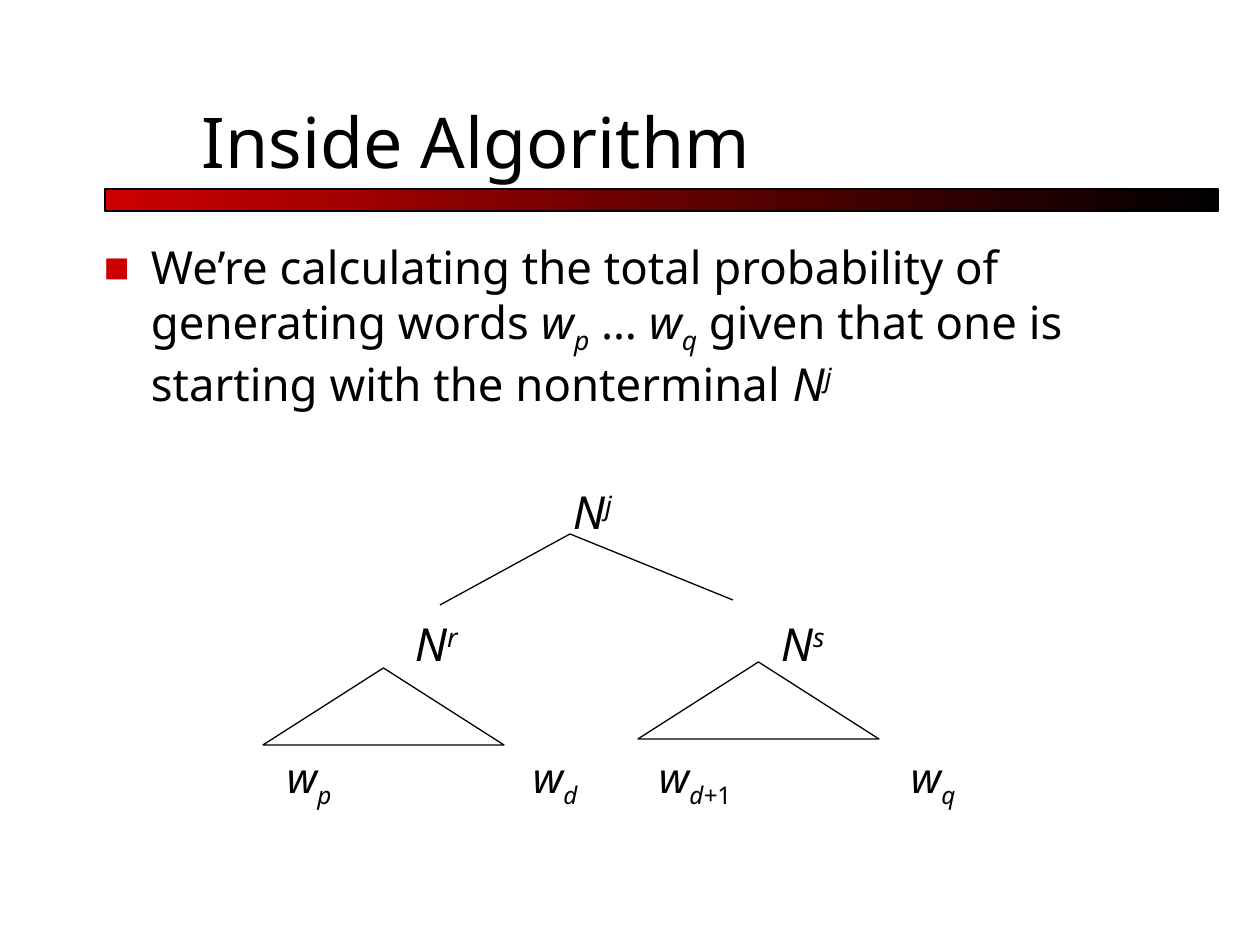
from dataclasses import dataclass

from lxml.etree import SubElement
from pptx import Presentation
from pptx.dml.color import RGBColor
from pptx.enum.shapes import MSO_CONNECTOR, MSO_SHAPE
from pptx.enum.text import MSO_ANCHOR
from pptx.oxml.ns import qn
from pptx.util import Emu, Pt

PX = 914400 / 126


@dataclass(frozen=True)
class Theme:
    font: str = "Noto Sans"
    ink: RGBColor = RGBColor(0, 0, 0)
    accent: RGBColor = RGBColor(0xCC, 0, 0)
    title: int = 40
    body: int = 26
    word: int = 24
    line: float = 0.75
    sub: int = -25000
    sup: int = 30000


THEME = Theme()


def px(*values):
    return [Emu(round(v * PX)) for v in values]


def add_text(slide, box, runs, size=THEME.body, inset=(0, 0), anchor=MSO_ANCHOR.TOP,
             wrap=True):
    """Add one paragraph; each run is (text, italic, baseline)."""
    tf = slide.shapes.add_textbox(*px(*box)).text_frame
    tf.word_wrap = wrap
    tf.vertical_anchor = anchor
    tf.margin_left = tf.margin_right = px(inset[0])[0]
    tf.margin_top = tf.margin_bottom = px(inset[1])[0]
    p = tf.paragraphs[0]
    for text, italic, baseline in runs:
        r = p.add_run()
        r.text = text
        r.font.name = THEME.font
        r.font.size = Pt(size)
        r.font.italic = italic
        r.font.color.rgb = THEME.ink
        if baseline:
            r._r.get_or_add_rPr().set("baseline", str(baseline))
    return p


def plain(text):
    return [(text, False, 0)]


def symbol(base, index, baseline):
    return [(base, True, 0), (index, True, baseline)]


def set_bullet(p, indent):
    pPr = p._p.get_or_add_pPr()
    width = px(indent)[0]
    pPr.set("marL", str(width))
    pPr.set("indent", str(-width))
    color = SubElement(pPr, qn("a:buClr"))
    SubElement(color, qn("a:srgbClr"), val=str(THEME.accent))
    SubElement(pPr, qn("a:buSzPct"), val="60000")
    SubElement(pPr, qn("a:buFont"), typeface=THEME.font)
    SubElement(pPr, qn("a:buChar"), char="■")


def set_line(s):
    s.line.color.rgb = THEME.ink
    s.line.width = Pt(THEME.line)


def add_outline(slide, preset, box):
    s = slide.shapes.add_shape(preset, *px(*box))
    s.shadow.inherit = False
    s.fill.background()
    set_line(s)
    return s


def add_gradient_bar(slide, box):
    s = add_outline(slide, MSO_SHAPE.RECTANGLE, box)
    s.fill.gradient()
    s.fill.gradient_angle = 0
    for i, color in enumerate((THEME.accent, THEME.ink)):
        stop = s.fill.gradient_stops[i]
        stop.position = i
        stop.color.rgb = color


def add_branch(slide, start, end):
    s = slide.shapes.add_connector(MSO_CONNECTOR.STRAIGHT, *px(*start, *end))
    set_line(s)
    SubElement(s._element.spPr, qn("a:effectLst"))


def add_tree(slide):
    # Branches from the root and the two subtrees
    root = (570, 534)
    for end in ((440, 605), (733, 600)):
        add_branch(slide, root, end)
    for left, top in ((263, 668), (638, 662)):
        add_outline(slide, MSO_SHAPE.ISOSCELES_TRIANGLE, (left, top, 241, 77))

    # Nonterminals
    for index, left, top in (("j", 573, 484), ("r", 415, 616), ("s", 781, 616)):
        add_text(slide, (left, top, 60, 62), symbol("N", index, THEME.sup), wrap=False)

    # Words spanned by the subtrees
    split = symbol("w", "d+", THEME.sub) + [("1", False, THEME.sub)]
    words = (
        (symbol("w", "p", THEME.sub), 287),
        (symbol("w", "d", THEME.sub), 533),
        (split, 659),
        (symbol("w", "q", THEME.sub), 911),
    )
    for runs, left in words:
        add_text(slide, (left, 752, 90, 62), runs, size=THEME.word, wrap=False)


def main():
    prs = Presentation()
    prs.slide_width, prs.slide_height = px(1260, 945)
    slide = prs.slides.add_slide(prs.slide_layouts[6])

    # Heading
    add_gradient_bar(slide, (105, 189, 1113, 22))
    add_text(slide, (189, 53, 1071, 136), plain("Inside Algorithm"), size=THEME.title,
             inset=(13, 6), anchor=MSO_ANCHOR.BOTTOM)

    # Statement
    statement = (
        plain("We’re calculating the total probability of generating words ")
        + symbol("w", "p", THEME.sub) + plain(" … ") + symbol("w", "q", THEME.sub)
        + plain(" given that one is starting with the nonterminal ")
        + symbol("N", "j", THEME.sup)
    )
    p = add_text(slide, (91, 233, 1071, 200), statement, inset=(13, 6))
    set_bullet(p, 47)

    # Parse tree
    add_tree(slide)
    prs.save("out.pptx")


if __name__ == "__main__":
    main()
